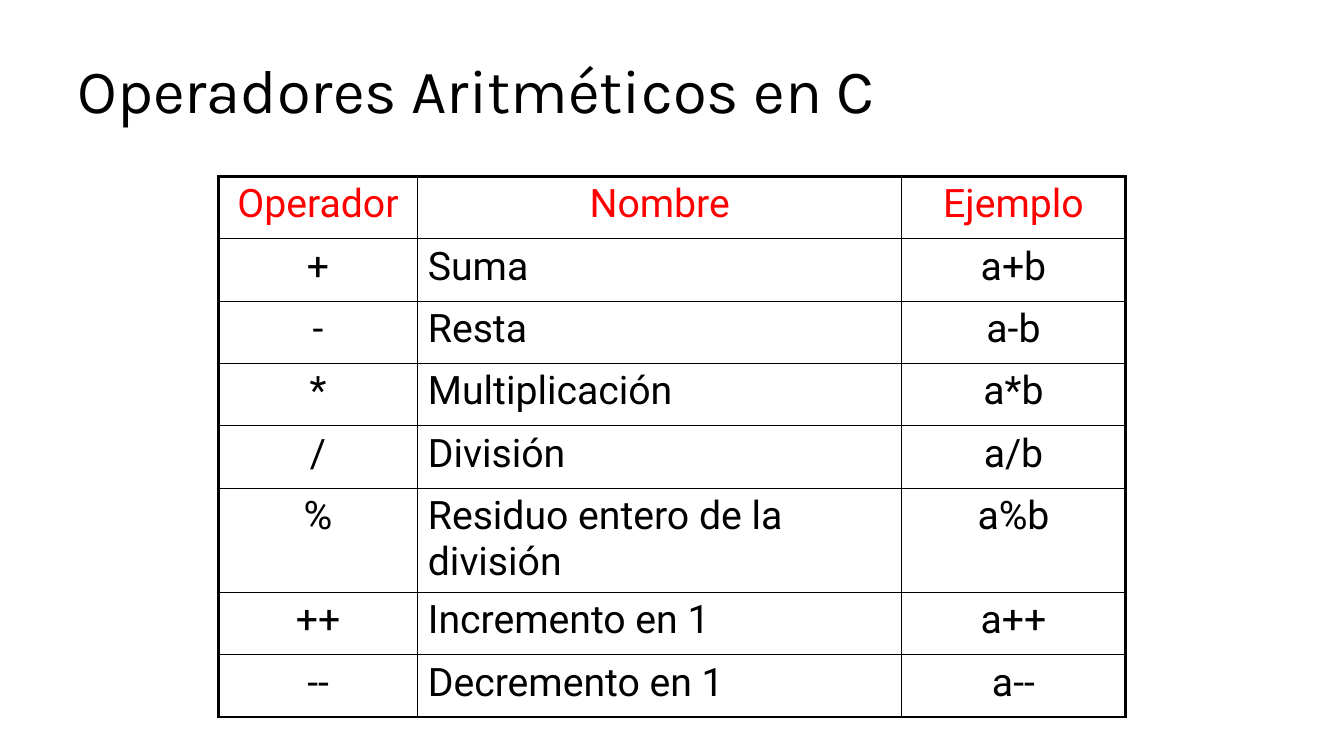
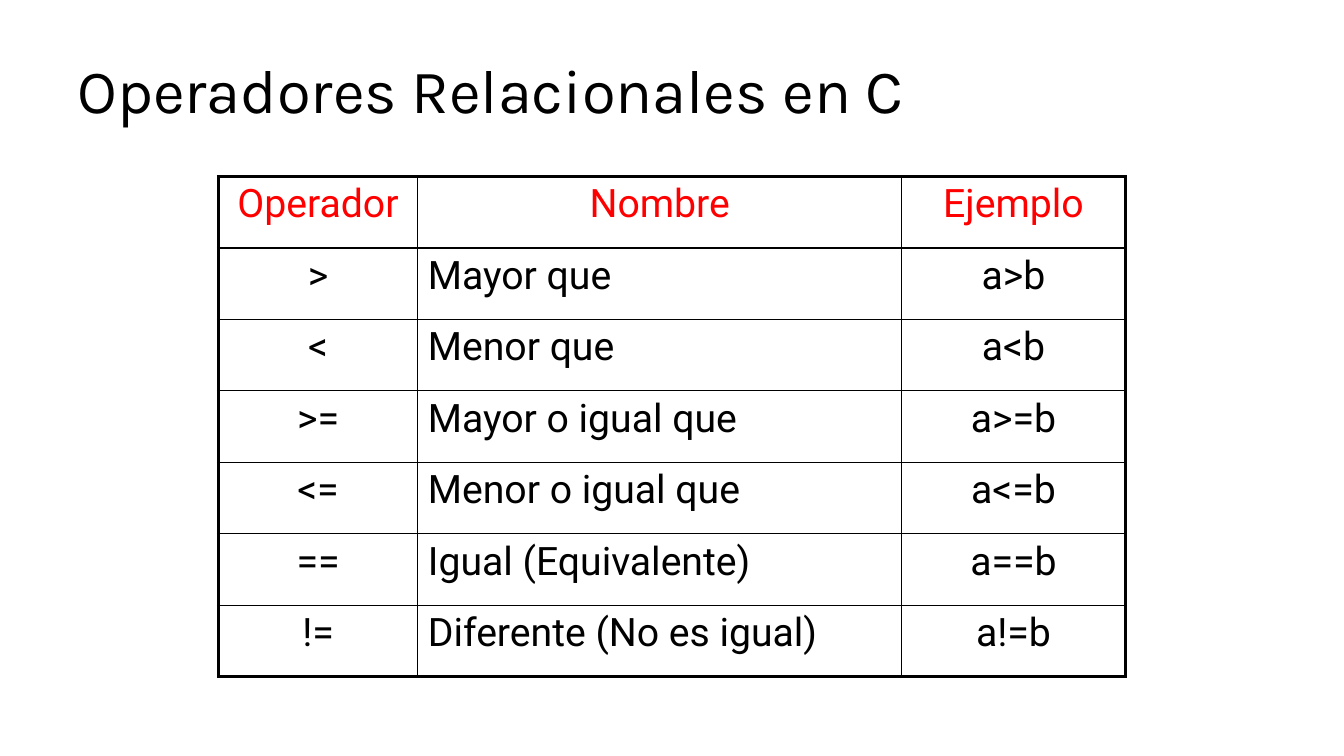
from lxml.etree import SubElement
from pptx import Presentation
from pptx.dml.color import RGBColor
from pptx.enum.text import MSO_ANCHOR, PP_ALIGN
from pptx.oxml.ns import qn
from pptx.util import Cm, Pt

BLACK = RGBColor(0x00, 0x00, 0x00)
RED = RGBColor(0xFF, 0x00, 0x00)
TITLE_FONT = "Karla"
TABLE_FONT = "Roboto"
THICK, THIN = Pt(2.25), Pt(1)

HEADINGS = ("Operador", "Nombre", "Ejemplo")
COLUMN_WIDTHS = (5.03, 12.19, 5.64)
ALIGNMENTS = (PP_ALIGN.CENTER, PP_ALIGN.LEFT, PP_ALIGN.CENTER)

ARITHMETIC = [
    ("+", "Suma", "a+b"),
    ("-", "Resta", "a-b"),
    ("*", "Multiplicación", "a*b"),
    ("/", "División", "a/b"),
    ("%", "Residuo entero de la división", "a%b"),
    ("++", "Incremento en 1", "a++"),
    ("--", "Decremento en 1", "a--"),
]
RELATIONAL = [
    (">", "Mayor que", "a>b"),
    ("<", "Menor que", "a<b"),
    (">=", "Mayor o igual que", "a>=b"),
    ("<=", "Menor o igual que", "a<=b"),
    ("==", "Igual (Equivalente)", "a==b"),
    ("!=", "Diferente (No es igual)", "a!=b"),
]
TOPICS = [
    ("Operadores Aritméticos en C", ARITHMETIC, [1.57] * 5 + [2.63] + [1.57] * 2),
    ("Operadores Relacionales en C", RELATIONAL, [1.8] * 7),
]


def style_text(paragraph, font_name, size, color, alignment):
    paragraph.alignment = alignment
    paragraph.font.name = font_name
    paragraph.font.size = Pt(size)
    paragraph.font.color.rgb = color


def set_borders(cell, widths):
    properties = cell._tc.get_or_add_tcPr()
    for side, width in widths.items():
        line = SubElement(properties, qn(f"a:ln{side}"), w=str(width))
        fill = SubElement(line, qn("a:solidFill"))
        SubElement(fill, qn("a:srgbClr"), val=str(BLACK))


deck = Presentation()
deck.slide_width, deck.slide_height = Cm(33.87), Cm(19.05)

for heading, operators, row_heights in TOPICS:
    slide = deck.slides.add_slide(deck.slide_layouts[6])

    title = slide.shapes.add_textbox(Cm(1.7), Cm(0.76), Cm(30.48), Cm(3.18)).text_frame
    title.word_wrap = True
    title.vertical_anchor = MSO_ANCHOR.MIDDLE
    title.text = heading
    title.paragraphs[0].line_spacing = 0.9
    style_text(title.paragraphs[0], TITLE_FONT, 44, BLACK, PP_ALIGN.LEFT)

    rows = [HEADINGS] + operators
    last_row, last_column = len(rows) - 1, len(HEADINGS) - 1
    table = slide.shapes.add_table(
        len(rows), len(HEADINGS), Cm(5.5), Cm(4.45),
        Cm(sum(COLUMN_WIDTHS)), Cm(sum(row_heights)),
    ).table
    table.first_row = table.horz_banding = False
    for column, width in zip(table.columns, COLUMN_WIDTHS):
        column.width = Cm(width)

    for r, (values, height) in enumerate(zip(rows, row_heights)):
        table.rows[r].height = Cm(height)
        for c, value in enumerate(values):
            cell = table.cell(r, c)
            cell.text = value
            style_text(
                cell.text_frame.paragraphs[0], TABLE_FONT, 28,
                RED if r == 0 else BLACK,
                PP_ALIGN.CENTER if r == 0 else ALIGNMENTS[c],
            )
            set_borders(cell, {
                "L": THICK if c == 0 else THIN,
                "R": THICK if c == last_column else THIN,
                "T": THICK if r == 0 else THIN,
                "B": THICK if r == last_row else THIN,
            })
            cell.fill.background()

deck.save("out.pptx")
